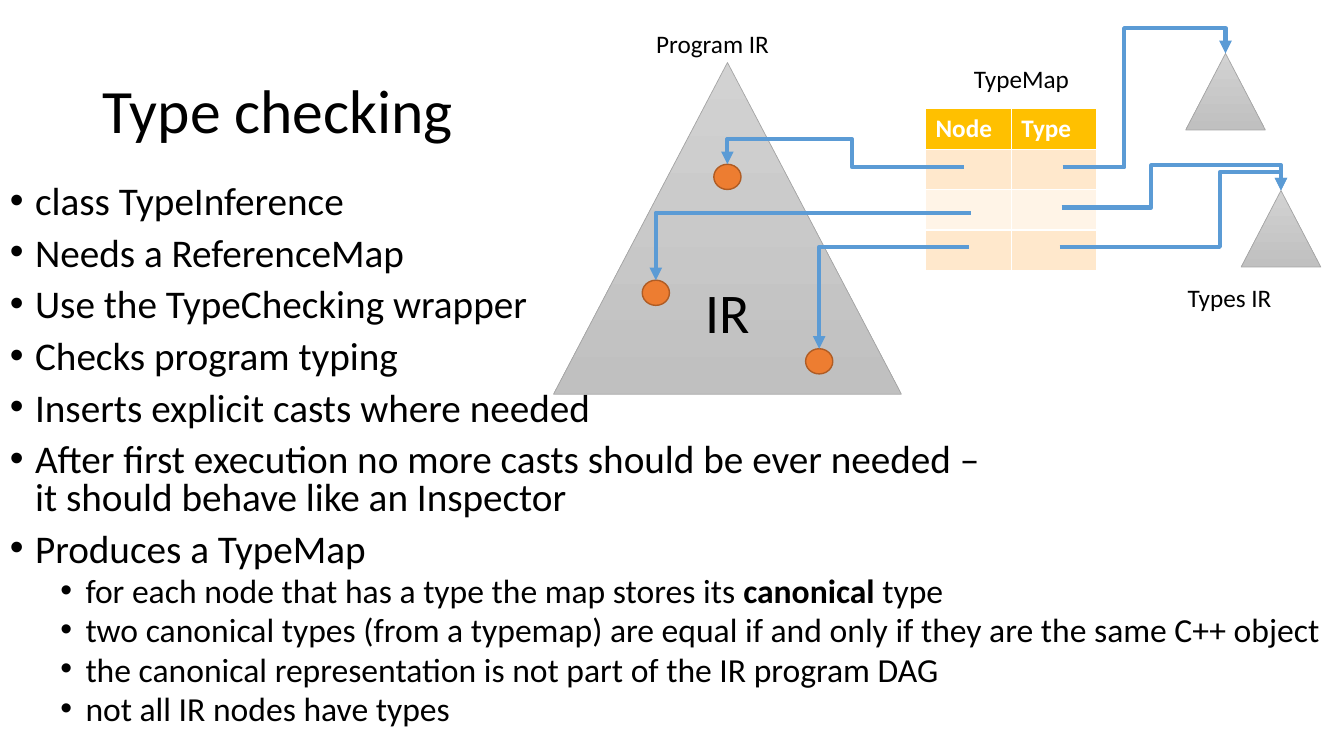
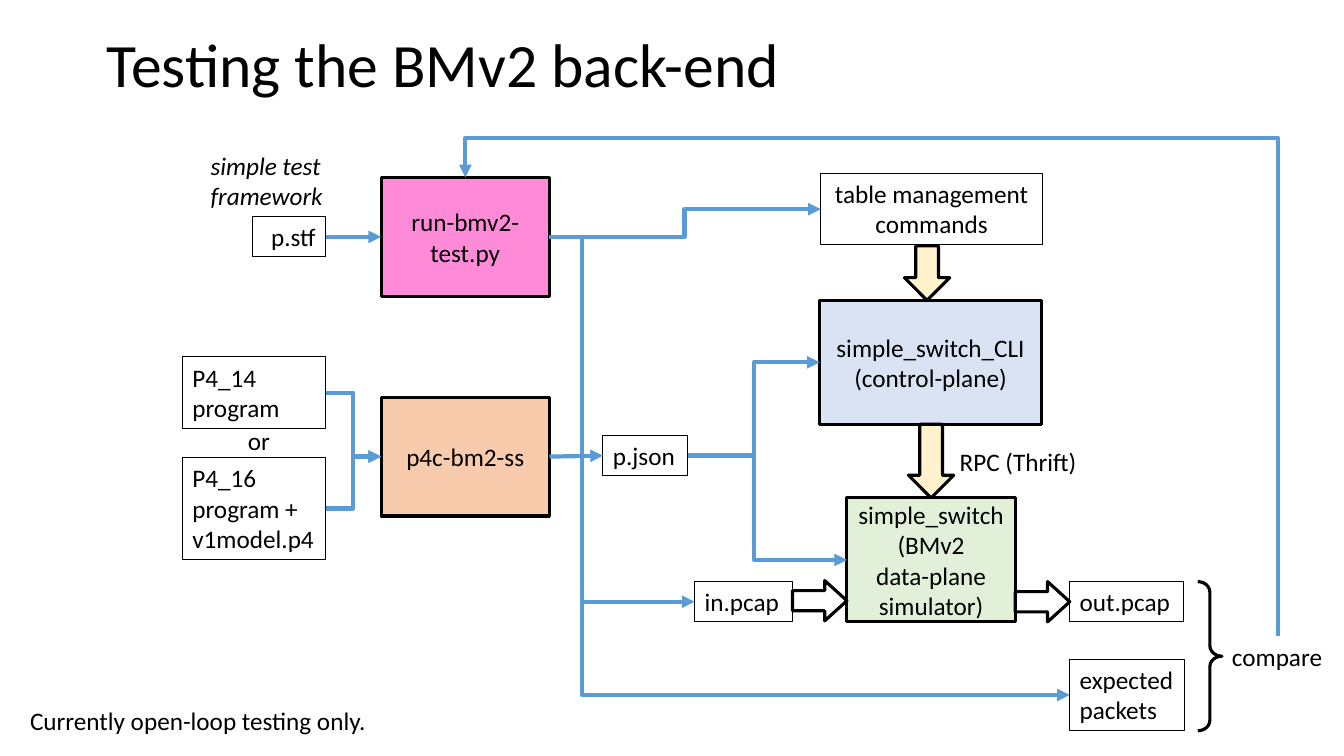
"""Build two slides on type checking and on testing the BMv2 back-end."""
from dataclasses import dataclass

from lxml import etree
from pptx import Presentation
from pptx import util as u
from pptx.dml.color import RGBColor
from pptx.enum import shapes, text
from pptx.oxml.ns import qn


@dataclass(frozen=True)
class Theme:
    font: str = "Calibri"
    title: int = 44
    body: int = 28
    detail: int = 24
    label: int = 18
    symbol: int = 40
    black: str = "000000"
    white: str = "FFFFFF"
    arrow: str = "5B9BD5"
    gray_top: str = "D2D2D2"
    gray_bottom: str = "C0C0C0"
    gray_line: str = "A5A5A5"
    node: str = "ED7D31"
    node_line: str = "AF5C24"
    header: str = "FFC000"
    row_dark: str = "FFE8CC"
    row_light: str = "FFF4E7"
    pink: str = "FF8AD8"
    orange: str = "F8CBAD"
    blue: str = "DAE3F3"
    green: str = "E2F0D9"
    cream: str = "FFF2CC"


theme = Theme()
rgb = RGBColor.from_string
preset = shapes.MSO_SHAPE
TOP, LEFT, RIGHT = 0, 1, 3


def write(frame, content, size=theme.label, color=theme.black, bold=False, italic=False,
          align=text.PP_ALIGN.LEFT, spacing=None, before=0, indent=None):
    """Add a paragraph; ** marks bold text and a newline is a line break."""
    paragraph = frame.paragraphs[0]
    if paragraph.runs:
        paragraph = frame.add_paragraph()
        paragraph.space_before = u.Pt(before)
    paragraph.alignment = align
    if spacing:
        paragraph.line_spacing = spacing
    if indent is not None:
        properties = paragraph._p.get_or_add_pPr()
        properties.set("marL", str(u.Inches(indent)))
        properties.set("indent", str(u.Inches(-0.25)))
        etree.SubElement(properties, qn("a:buFont")).set("typeface", "Arial")
        etree.SubElement(properties, qn("a:buChar")).set("char", "•")
    for index, part in enumerate(content.split("**")):
        for line_number, line in enumerate(part.split("\n")):
            if line_number:
                paragraph.add_line_break()
            run = paragraph.add_run()
            run.text = line
            run.font.name = theme.font
            run.font.size = u.Pt(size)
            run.font.bold = bold or index % 2 == 1
            run.font.italic = italic
            run.font.color.rgb = rgb(color)


def connect(slide, start, end, route=None, vertical_first=False):
    """Draw an arrow; start is a point or a (shape, site), route gives the x and y of its bends."""
    kind = shapes.MSO_CONNECTOR.STRAIGHT if route is None else shapes.MSO_CONNECTOR.ELBOW
    joined = hasattr(start[0], "shape_id")
    x, y = (0, 0) if joined else map(u.Inches, start)
    connector = slide.shapes.add_connector(kind, x, y, x, y)
    if joined:
        connector.begin_connect(*start)
    connector.end_connect(*end)
    connector.line.color.rgb = rgb(theme.arrow)
    connector.line.width = u.Pt(3)
    properties = connector.element.spPr
    etree.SubElement(properties.find(qn("a:ln")), qn("a:tailEnd")).set("type", "triangle")
    etree.SubElement(properties, qn("a:effectLst"))
    if route is None:
        return
    geometry = properties.find(qn("a:prstGeom"))
    geometry.set("prst", f"bentConnector{len(route) + 2}")
    spans = [(connector.begin_x, connector.end_x), (connector.begin_y, connector.end_y)]
    if vertical_first:
        spans.reverse()
    for number, (bend, (first, last)) in enumerate(zip(route, spans), 1):
        guide = etree.SubElement(geometry.find(qn("a:avLst")), qn("a:gd"))
        guide.set("name", f"adj{number}" if len(route) > 0 else "adj")
        guide.set("fmla", f"val {round((u.Inches(bend) - first) / (last - first) * 100000)}")
    if vertical_first:
        width, height = connector.width, connector.height
        connector.left += (width - height) // 2
        connector.top += (height - width) // 2
        connector.width, connector.height = height, width
        transform = properties.find(qn("a:xfrm"))
        transform.set("rot", "16200000")
        transform.set("flipH", "0")
        transform.set("flipV", "1")


presentation = Presentation()
presentation.slide_width = u.Inches(13.33)
presentation.slide_height = u.Inches(7.5)
titles = [
    ("Type checking", (0.92, 0.4, 11.5, 1.45)),
    ("Testing the BMv2 back-end", (0.96, 0.2, 11.5, 0.94)),
]
labels = [
    [
        ("TypeMap", (9.56, 0.58, 1.16, 0.4)),
        ("Program IR", (6.41, 0.23, 1.33, 0.4)),
        ("Types IR", (11.68, 2.75, 1.04, 0.4)),
    ],
    [
        ("RPC (Thrift)", (9.42, 4.38, 1.38, 0.4)),
        ("or", (2.36, 4.17, 0.42, 0.4)),
        ("compare", (12.12, 6.31, 1.11, 0.4)),
        ("Currently open-loop testing only.", (0.2, 6.95, 3.57, 0.4)),
        ("simple test\nframework", (1.99, 1.44, 1.32, 0.71)),
    ],
]
slides = []
label_boxes = {}
for (title, title_box), slide_labels in zip(titles, labels):
    slide = presentation.slides.add_slide(presentation.slide_layouts[6])
    slides.append(slide)
    frame = slide.shapes.add_textbox(*map(u.Inches, title_box)).text_frame
    frame.word_wrap = True
    frame.vertical_anchor = text.MSO_ANCHOR.MIDDLE
    write(frame, title, size=theme.title, spacing=0.9)
    for label, box in slide_labels:
        shape = slide.shapes.add_textbox(*map(u.Inches, box))
        shape.text_frame.word_wrap = False
        shape.text_frame.auto_size = text.MSO_AUTO_SIZE.SHAPE_TO_FIT_TEXT
        write(shape.text_frame, label, italic=label.startswith("simple test"))
        label_boxes[label] = shape
checking, testing = slides

points = [
    "class TypeInference",
    "Needs a ReferenceMap",
    "Use the TypeChecking wrapper",
    "Checks program typing",
    "Inserts explicit casts where needed",
    "After first execution no more casts should be ever needed –\nit should behave like an Inspector",
    "Produces a TypeMap",
]
details = [
    "for each node that has a type the map stores its **canonical** type",
    "two canonical types (from a typemap) are equal if and only if they are the same C++ object",
    "the canonical representation is not part of the IR program DAG",
    "not all IR nodes have types",
]
frame = checking.shapes.add_textbox(0, u.Inches(1.79), u.Inches(13.33), u.Inches(5.71)).text_frame
frame.word_wrap = True
for point in points:
    write(frame, point, size=theme.body, spacing=0.8, before=10, indent=0.25)
for detail in details:
    write(frame, detail, size=theme.detail, spacing=0.8, before=5, indent=0.75)

triangles = []
for box in [(5.49, 0.62, 3.45, 3.29), (11.76, 0.53, 0.79, 0.76), (12.31, 1.89, 0.79, 0.76)]:
    shape = checking.shapes.add_shape(preset.ISOSCELES_TRIANGLE, *map(u.Inches, box))
    shape.shadow.inherit = False
    shape.fill.gradient()
    shape.fill.gradient_angle = 270
    for stop, color in zip(shape.fill.gradient_stops, (theme.gray_top, theme.gray_bottom)):
        stop.color.rgb = rgb(color)
    shape.line.color.rgb = rgb(theme.gray_line)
    shape.line.width = u.Pt(0.5)
    triangles.append(shape)
program_ir, first_type, second_type = triangles
program_ir.text_frame.vertical_anchor = text.MSO_ANCHOR.MIDDLE
write(program_ir.text_frame, "IR", size=theme.symbol, align=text.PP_ALIGN.CENTER)

type_map = checking.shapes.add_table(
    4, 2, u.Inches(9.18), u.Inches(1.08), u.Inches(1.7), u.Inches(1.6)).table
row_fills = [theme.header, theme.row_dark, theme.row_light, theme.row_dark]
for row, color in zip(type_map.rows, row_fills):
    for cell in row.cells:
        cell.fill.solid()
        cell.fill.fore_color.rgb = rgb(color)
for cell, heading in zip(type_map.rows[0].cells, ("Node", "Type")):
    write(cell.text_frame, heading, color=theme.white, bold=True)

nodes = [
    ((7.08, 1.63), (9.56, 1.66), (8.45, 1.38)),
    ((6.37, 2.78), (9.63, 2.11), ()),
    ((7.99, 3.46), (9.61, 2.45), ()),
]
for (left, top), start, route in nodes:
    shape = checking.shapes.add_shape(
        preset.OVAL, u.Inches(left), u.Inches(top), u.Inches(0.27), u.Inches(0.25))
    shape.shadow.inherit = False
    shape.fill.solid()
    shape.fill.fore_color.rgb = rgb(theme.node)
    shape.line.color.rgb = rgb(theme.node_line)
    shape.line.width = u.Pt(1)
    connect(checking, start, (shape, TOP), route)
for start, target, route in [
    ((10.54, 1.66), first_type, (11.15, 0.28)),
    ((10.53, 2.06), second_type, (11.42, 1.64)),
    ((10.51, 2.45), second_type, (12.1, 1.71)),
]:
    connect(checking, start, (target, TOP), route)

left_align, center, right_align = text.PP_ALIGN.LEFT, text.PP_ALIGN.CENTER, text.PP_ALIGN.RIGHT
boxes = {
    "compiler": ("p4c-bm2-ss", (3.78, 3.94, 1.67, 1.18), theme.orange, center),
    "runner": ("run-bmv2-test.py", (3.78, 1.76, 1.67, 1.18), theme.pink, center),
    "switch": ("simple_switch\n(BMv2\ndata-plane simulator)", (8.4, 4.94, 1.67, 1.23),
               theme.green, center),
    "cli": ("simple_switch_CLI\n(control-plane)", (8.13, 2.98, 2.2, 1.23), theme.blue, center),
    "p4_14": ("P4_14\nprogram", (1.81, 3.54, 1.42, 0.71), None, left_align),
    "p4_16": ("P4_16\nprogram +\nv1model.p4", (1.81, 4.54, 1.42, 1.01), None, left_align),
    "json": ("p.json", (5.98, 4.32, 0.84, 0.4), None, left_align),
    "commands": ("table management\ncommands", (8.14, 1.72, 2.2, 0.71), None, center),
    "stf": ("p.stf", (2.5, 2.15, 0.73, 0.4), None, right_align),
    "input": ("in.pcap", (6.89, 5.77, 0.97, 0.4), None, left_align),
    "expected": ("expected\npackets", (10.61, 6.54, 1.14, 0.71), None, left_align),
    "output": ("out.pcap", (10.61, 5.77, 1.13, 0.4), None, left_align),
}
placed = {}
for name, (content, box, color, align) in boxes.items():
    shape = testing.shapes.add_shape(preset.RECTANGLE, *map(u.Inches, box))
    shape.shadow.inherit = False
    shape.line.color.rgb = rgb(theme.black)
    shape.line.width = u.Pt(2.25 if color else 0.75)
    if color:
        shape.fill.solid()
        shape.fill.fore_color.rgb = rgb(color)
    else:
        shape.fill.background()
    shape.text_frame.word_wrap = True
    shape.text_frame.vertical_anchor = text.MSO_ANCHOR.MIDDLE if color else text.MSO_ANCHOR.TOP
    write(shape.text_frame, content, align=align)
    placed[name] = shape

for source, target, route in [
    ("p4_14", "compiler", (3.5,)),
    ("p4_16", "compiler", (3.5,)),
    ("compiler", "json", None),
    ("json", "cli", (7.48,)),
    ("json", "switch", (7.48,)),
    ("stf", "runner", None),
    ("runner", "commands", (6.79,)),
    ("runner", "input", (5.77,)),
    ("runner", "expected", (5.77,)),
]:
    connect(testing, (placed[source], RIGHT), (placed[target], LEFT), route)
connect(testing, (label_boxes["compare"], TOP), (placed["runner"], TOP), (1.37,),
        vertical_first=True)

for kind, box, color, adjustments in [
    (preset.RIGHT_ARROW, (7.86, 5.76, 0.54, 0.4), theme.white, (0.5, 0.55)),
    (preset.RIGHT_ARROW, (10.07, 5.77, 0.54, 0.4), theme.white, (0.5, 0.55)),
    (preset.DOWN_ARROW, (8.97, 2.44, 0.45, 0.54), theme.cream, (0.5, 0.5)),
    (preset.DOWN_ARROW, (9.01, 4.21, 0.45, 0.73), theme.cream, (0.5, 0.5)),
    (preset.RIGHT_BRACE, (11.88, 5.77, 0.24, 1.48), None, (0.43, 0.5)),
]:
    shape = testing.shapes.add_shape(kind, *map(u.Inches, box))
    shape.shadow.inherit = False
    for index, adjustment in enumerate(adjustments):
        shape.adjustments[index] = adjustment
    if color:
        shape.fill.solid()
        shape.fill.fore_color.rgb = rgb(color)
    else:
        shape.fill.background()
    shape.line.color.rgb = rgb(theme.black)
    shape.line.width = u.Pt(2.25)

presentation.save("out.pptx")
